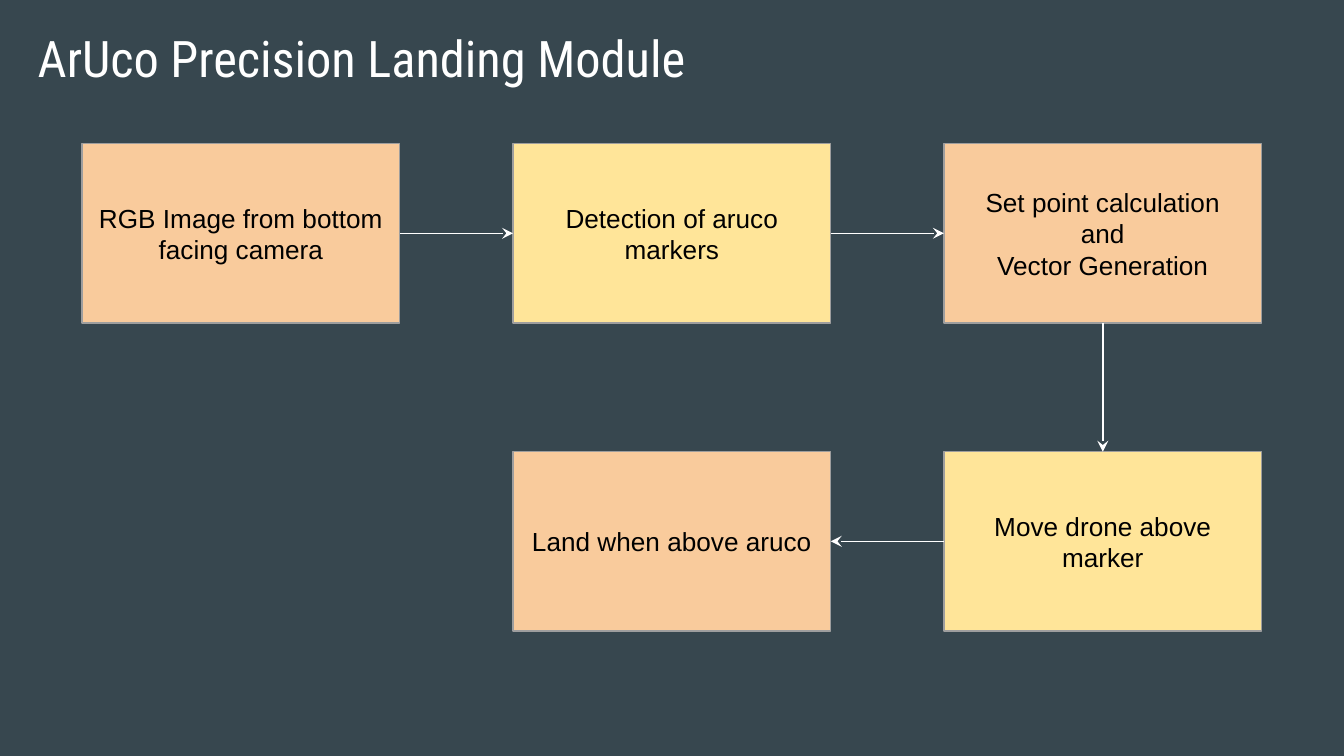
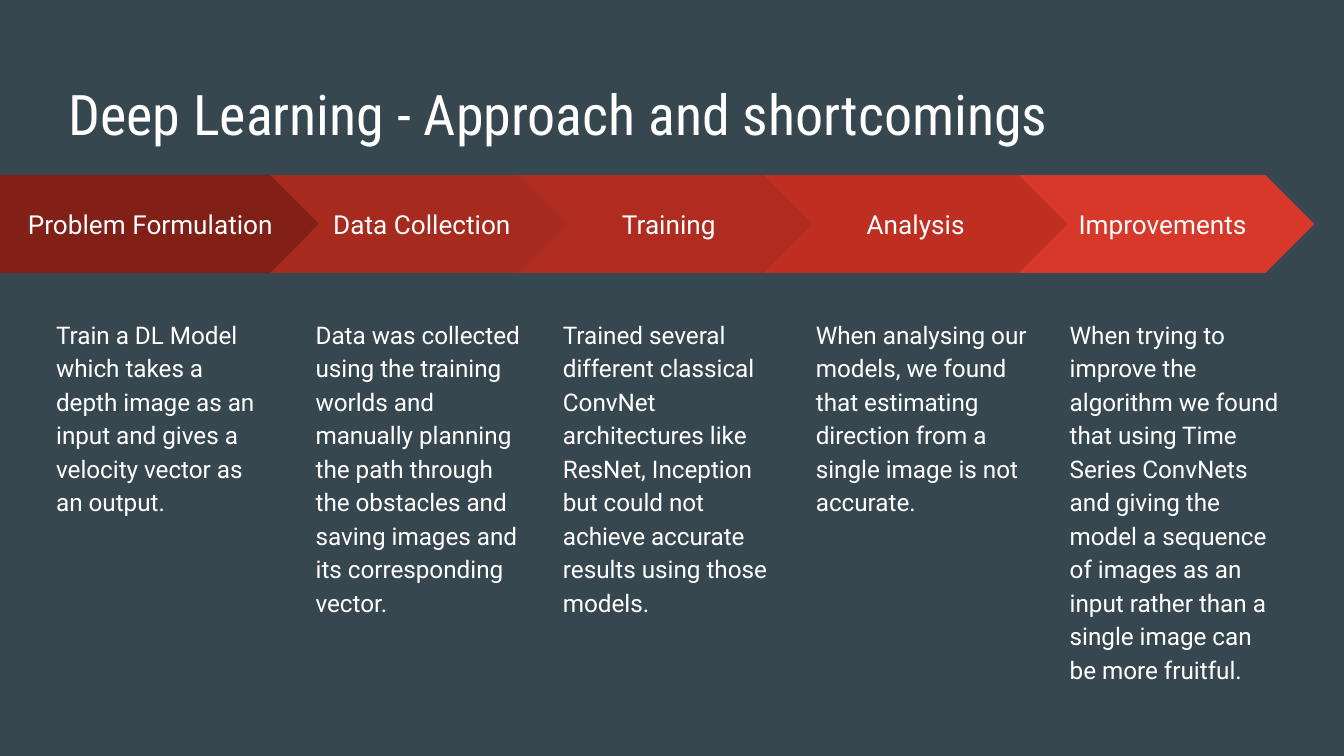
"""Build two dark slides: a landing flow chart and a deep learning process."""
from lxml import etree
from pptx import Presentation
from pptx.dml.color import RGBColor
from pptx.enum.shapes import MSO_CONNECTOR, MSO_SHAPE
from pptx.enum.text import MSO_ANCHOR, MSO_AUTO_SIZE, PP_ALIGN
from pptx.oxml.ns import qn
from pptx.util import Pt

RECT, PLATE, CHEVRON = MSO_SHAPE.RECTANGLE, MSO_SHAPE.PENTAGON, MSO_SHAPE.CHEVRON
LINE = MSO_CONNECTOR.STRAIGHT
TOP, MIDDLE = MSO_ANCHOR.TOP, MSO_ANCHOR.MIDDLE
LEFT, CENTER = PP_ALIGN.LEFT, PP_ALIGN.CENTER
FIXED = MSO_AUTO_SIZE.NONE

SLATE = RGBColor(0x37, 0x47, 0x4F)
WHITE = RGBColor(0xFF, 0xFF, 0xFF)
BLACK = RGBColor(0x00, 0x00, 0x00)
GREY = RGBColor(0x9E, 0x9E, 0x9E)
PEACH = RGBColor(0xF9, 0xCB, 0x9C)
YELLOW = RGBColor(0xFF, 0xE5, 0x99)
REDS = [
    RGBColor(0x80, 0x20, 0x17),
    RGBColor(0xA7, 0x2A, 0x1E),
    RGBColor(0xB0, 0x2C, 0x20),
    RGBColor(0xBE, 0x2F, 0x22),
    RGBColor(0xD8, 0x38, 0x29),
]

HEAD, BODY, PLAIN = "Roboto Condensed", "Roboto", "Arial"
INSET = Pt(7.2)


def write(shape, lines, size, font, color, align=LEFT, anchor=TOP, space=None):
    frame = shape.text_frame
    frame.word_wrap = True
    frame.auto_size = FIXED
    frame.vertical_anchor = anchor
    frame.margin_left = frame.margin_right = INSET
    frame.margin_top = frame.margin_bottom = INSET
    for i, line in enumerate(lines):
        para = frame.paragraphs[0] if i == 0 else frame.add_paragraph()
        para.alignment = align
        para.line_spacing = space
        run = para.add_run()
        run.text = line
        run.font.size = Pt(size)
        run.font.name = font
        run.font.color.rgb = color


def start(deck, text, size, left, top, width, height):
    slide = deck.slides.add_slide(deck.slide_layouts[5])
    title = slide.shapes.title
    title.left, title.top = Pt(left), Pt(top)
    title.width, title.height = Pt(width), Pt(height)
    write(title, [text], size, HEAD, WHITE)
    return slide


deck = Presentation()
deck.slide_width, deck.slide_height = Pt(720), Pt(405)
fill = deck.slide_master.background.fill
fill.solid()
fill.fore_color.rgb = SLATE

slide = start(deck, "ArUco Precision Landing Module", 27, 13, 7.2, 671, 45.4)

STEPS = [
    (0, 0, PEACH, ["RGB Image from bottom facing camera"]),
    (1, 0, YELLOW, ["Detection of aruco markers"]),
    (2, 0, PEACH, ["Set point calculation", "and", "Vector Generation"]),
    (2, 1, YELLOW, ["Move drone above marker"]),
    (1, 1, PEACH, ["Land when above aruco"]),
]
boxes = []
for col, row, color, lines in STEPS:
    box = slide.shapes.add_shape(
        RECT, Pt(44 + 230.85 * col), Pt(77 + 165 * row), Pt(170.2), Pt(96))
    box.shadow.inherit = False
    box.fill.solid()
    box.fill.fore_color.rgb = color
    box.line.color.rgb = GREY
    box.line.width = Pt(0.75)
    write(box, lines, 14, PLAIN, BLACK, CENTER, MIDDLE)
    boxes.append(box)

UP, WEST, DOWN, EAST = range(4)
SIDES = [(EAST, WEST), (EAST, WEST), (DOWN, UP), (WEST, EAST)]
for tail, tip, (leave, enter) in zip(boxes, boxes[1:], SIDES):
    arrow = slide.shapes.add_connector(LINE, 0, 0, 0, 0)
    arrow.begin_connect(tail, leave)
    arrow.end_connect(tip, enter)
    arrow.line.color.rgb = WHITE
    arrow.line.width = Pt(0.75)
    etree.SubElement(arrow.line._get_or_add_ln(), qn("a:tailEnd"), type="stealth")
    etree.SubElement(arrow._element.spPr, qn("a:effectLst"))

slide = start(deck, "Deep Learning - Approach and shortcomings", 30, 29.5, 35.3, 659, 54)

STAGES = [
    (0, 23, "Problem Formulation",
     "Train a DL Model which takes a depth image as an input and gives a "
     "velocity vector as an output."),
    (1, 162, "Data Collection",
     "Data was collected using the training worlds and manually planning the "
     "path through the obstacles and saving images and its corresponding vector."),
    (2, 294.5, "Training",
     "Trained several different classical ConvNet architectures like ResNet, "
     "Inception but could not achieve accurate results using those models."),
    (4, 566, "Improvements",
     "When trying to improve the algorithm we found that using Time Series "
     "ConvNets and giving the model a sequence of images as an input rather "
     "than a single image can be more fruitful."),
    (3, 430, "Analysis",
     "When analysing our models, we found that estimating direction from a "
     "single image is not accurate."),
]
for col, left, name, text in STAGES:
    group = slide.shapes.add_group_shape()
    kind, x, width = (CHEVRON, 12.5 + 132.25 * col, 162.7) if col else (PLATE, 0, 174.2)
    band = group.shapes.add_shape(kind, Pt(x), Pt(93.8), Pt(width), Pt(52.4))
    band.adjustments[0] = 0.5
    band.shadow.inherit = False
    band.fill.solid()
    band.fill.fore_color.rgb = REDS[col]
    band.line.fill.background()
    write(band, [name], 14, BODY, WHITE, CENTER, MIDDLE)
    note = group.shapes.add_textbox(Pt(left), Pt(162), Pt(128.2), Pt(185))
    write(note, [text], 13, BODY, WHITE, space=1.15)

deck.save("out.pptx")
